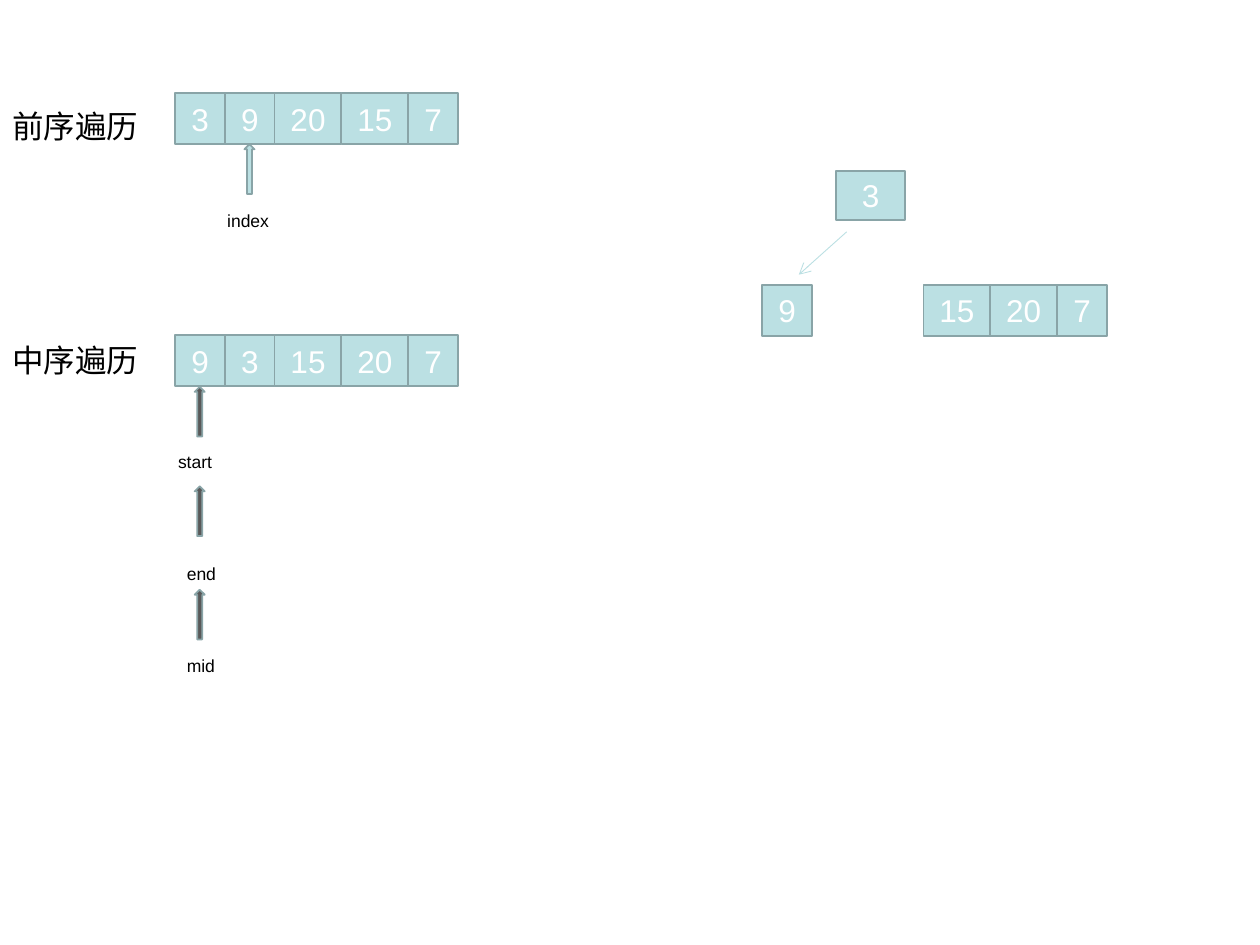
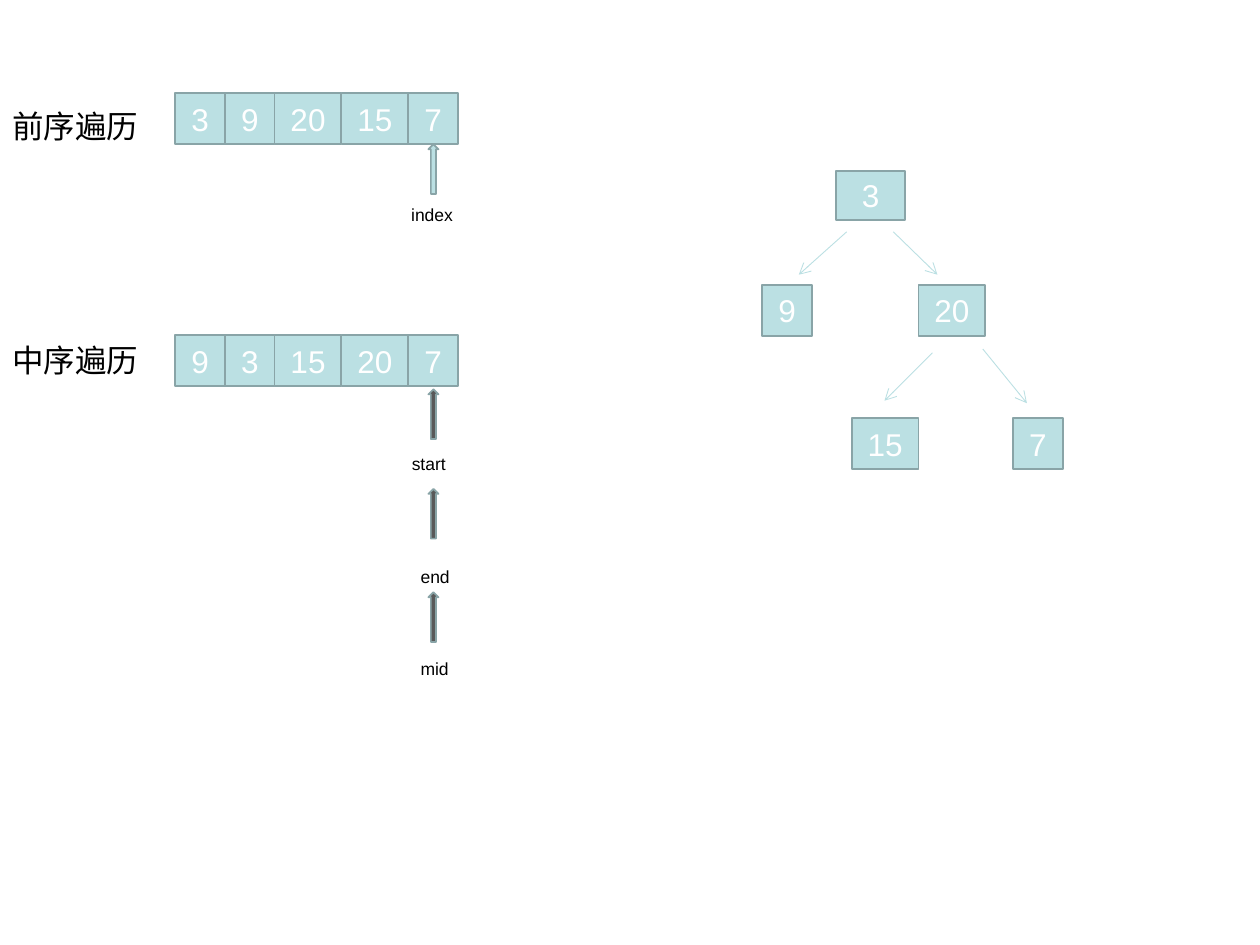
"""Build two slides that rebuild a binary tree from its preorder and inorder traversals."""
import pptx
import pptx.dml.color
import pptx.enum.shapes
import pptx.enum.text
import pptx.oxml.ns
import pptx.util
from lxml import etree

SHAPES = pptx.enum.shapes.MSO_SHAPE
ALIGN = pptx.enum.text.PP_ALIGN
ANCHOR = pptx.enum.text.MSO_ANCHOR
GRID_COLUMNS, GRID_ROWS = 100, 75
CELL_HEIGHT = 4.05
CELL_WIDTHS = {1: 3.95, 2: 5.3}


def color(value):
    return pptx.dml.color.RGBColor.from_string(value)


class TreeDeck:
    """Hold the style and the current slide, and draw each kind of element."""

    font = "Arial"
    fill, edge, dark = "BBE0E3", "89A4A7", "595959"
    light_text, dark_text = "FFFFFF", "000000"

    def __init__(self):
        self.presentation = pptx.Presentation()
        self.presentation.slide_width = pptx.util.Inches(10)
        self.presentation.slide_height = pptx.util.Inches(7.5)
        self.slide = None

    def add_slide(self):
        self.slide = self.presentation.slides.add_slide(self.presentation.slide_layouts[6])

    def place(self, *lengths):
        column = self.presentation.slide_width / GRID_COLUMNS
        row = self.presentation.slide_height / GRID_ROWS
        return [round(length * unit) for length, unit in zip(lengths, (column, row) * 2)]

    def set_text(self, shape, text, size, text_color, alignment):
        frame = shape.text_frame
        frame.word_wrap = True
        frame.auto_size = pptx.enum.text.MSO_AUTO_SIZE.SHAPE_TO_FIT_TEXT
        paragraph = frame.paragraphs[0]
        paragraph.text = text
        paragraph.alignment = alignment
        paragraph.font.name = self.font
        paragraph.font.size = pptx.util.Pt(size)
        paragraph.font.color.rgb = color(text_color)

    def block(self, kind, left, top, width, height, fill):
        shape = self.slide.shapes.add_shape(kind, *self.place(left, top, width, height))
        shape.shadow.inherit = False
        shape.fill.solid()
        shape.fill.fore_color.rgb = color(fill)
        shape.line.color.rgb = color(self.edge)
        shape.line.width = pptx.util.Pt(1)
        return shape

    def cell(self, value, left, top, width=None, height=CELL_HEIGHT):
        width = width or CELL_WIDTHS[len(value)]
        shape = self.block(SHAPES.RECTANGLE, left, top, width, height, self.fill)
        self.set_text(shape, value, 18, self.light_text, ALIGN.CENTER)
        shape.text_frame.vertical_anchor = ANCHOR.MIDDLE

    def cells(self, values, left, top):
        for value in values:
            self.cell(value, left, top)
            left += CELL_WIDTHS[len(value)]

    def label(self, text, left, top, width, height, size):
        box = self.slide.shapes.add_textbox(*self.place(left, top, width, height))
        self.set_text(box, text, size, self.dark_text, ALIGN.LEFT)

    def pointer(self, name, left, top, label_top, indent, label_width, fill):
        self.block(SHAPES.UP_ARROW, left, top, 0.8, 3.95, fill)
        self.label(name, left - indent, label_top, label_width, 2.7, 10)

    def index_pointer(self, left, label_top):
        self.pointer("index", left, 11.45, label_top, 2.35, 8.5, self.fill)

    def range_pointers(self, left, top):
        for name, drop, label_drop, indent in (
            ("start", 0, 4.6, 2.3),
            ("end", 7.9, 13.5, 1.6),
            ("mid", 16.1, 20.8, 1.6),
        ):
            self.pointer(name, left, top + drop, top + label_drop, indent, 5.4, self.dark)

    def branch(self, *ends):
        connector = self.slide.shapes.add_connector(
            pptx.enum.shapes.MSO_CONNECTOR.STRAIGHT, *self.place(*ends))
        connector.line.color.rgb = color(self.fill)
        connector.line.width = pptx.util.Pt(0.5)
        qualified = pptx.oxml.ns.qn
        properties = connector.element.spPr
        outline = properties.find(qualified("a:ln"))
        etree.SubElement(outline, qualified("a:tailEnd"), type="arrow")
        etree.SubElement(properties, qualified("a:effectLst"))

    def traversals(self):
        self.cells(("3", "9", "20", "15", "7"), 13.9, 7.4)
        self.cells(("9", "3", "15", "20", "7"), 13.9, 26.6)
        self.label("前序遍历", 0, 8, 13.9, 4, 18)
        self.label("中序遍历", 0, 26.6, 13.9, 4, 18)

    def root_and_left_child(self):
        self.cell("3", 66.35, 13.55, 5.5, 3.9)
        self.branch(67.2, 18.4, 63.4, 21.8)
        self.cell("9", 60.5, 22.6)


def main():
    deck = TreeDeck()

    deck.add_slide()
    deck.traversals()
    deck.root_and_left_child()
    deck.index_pointer(19.4, 16.2)
    deck.range_pointers(15.45, 30.7)
    deck.cells(("15", "20", "7"), 73.3, 22.6)

    deck.add_slide()
    deck.traversals()
    deck.root_and_left_child()
    deck.index_pointer(34, 15.7)
    deck.range_pointers(34, 30.9)
    deck.cell("20", 72.9, 22.6)
    deck.cell("15", 67.6, 33.2)
    deck.cell("7", 80.4, 33.2)
    for ends in ((70.9, 18.4, 74.4, 21.8), (74, 28, 70.2, 31.8), (78, 27.7, 81.5, 32)):
        deck.branch(*ends)

    deck.presentation.save("out.pptx")


if __name__ == "__main__":
    main()
